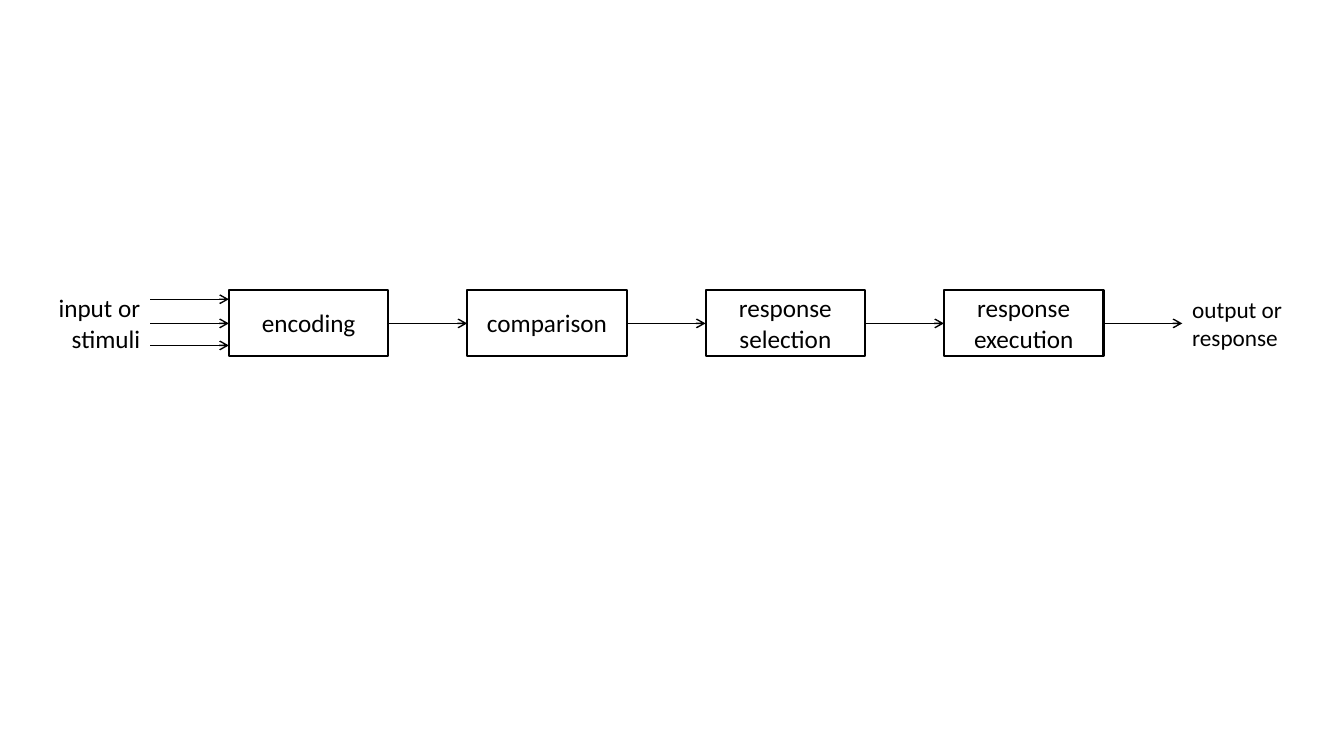
from dataclasses import dataclass

from lxml import etree
from pptx import Presentation
from pptx.dml.color import RGBColor
from pptx.enum.shapes import MSO_CONNECTOR, MSO_SHAPE
from pptx.enum.text import MSO_ANCHOR, PP_ALIGN
from pptx.oxml.ns import qn
from pptx.shapes.base import BaseShape
from pptx.slide import Slide
from pptx.util import Emu, Pt

RECT = MSO_SHAPE.RECTANGLE
STRAIGHT = MSO_CONNECTOR.STRAIGHT
MIDDLE = MSO_ANCHOR.MIDDLE
LEFT, CENTER, RIGHT = PP_ALIGN.LEFT, PP_ALIGN.CENTER, PP_ALIGN.RIGHT


@dataclass(frozen=True)
class Theme:
    ink: RGBColor = RGBColor(0, 0, 0)
    font: str = "Calibri"
    size: float = 18
    small: float = 16.6
    frame: float = 1.5
    arrow: float = 1


@dataclass(frozen=True)
class Stage:
    lines: tuple[str, ...]
    align: PP_ALIGN = CENTER
    size: float = Theme.size
    boxed: bool = True


THEME = Theme()

# Layout: equal columns, the first one starting just off the left edge
WIDE, HIGH = 1280, 720
START, STEP = -9, 227
BOX_W, BOX_H, TOP = 152, 63, 276
MID = 308
INPUTS = (285, MID, 329)

STAGES = (
    Stage(("input or", "stimuli"), align=RIGHT, boxed=False),
    Stage(("encoding",)),
    Stage(("comparison",)),
    Stage(("response", "selection")),
    Stage(("response", "execution")),
    Stage(("output or", "response"), LEFT, THEME.small, boxed=False),
)


def px(count: int) -> Emu:
    return Emu(count * 9525)


def write(shape: BaseShape, stage: Stage) -> None:
    frame = shape.text_frame
    frame.word_wrap = True
    frame.vertical_anchor = MIDDLE
    para = frame.paragraphs[0]
    para.alignment = stage.align
    para.font.name = THEME.font
    para.font.size = Pt(stage.size)
    para.font.color.rgb = THEME.ink
    for row, line in enumerate(stage.lines):
        if row:
            para.add_line_break()
        para.add_run().text = line


def add_stage(slide: Slide, stage: Stage, left: int) -> None:
    place = px(left), px(TOP), px(BOX_W), px(BOX_H)
    if stage.boxed:
        shape = slide.shapes.add_shape(RECT, *place)
        shape.shadow.inherit = False
        shape.fill.background()
        shape.line.color.rgb = THEME.ink
        shape.line.width = Pt(THEME.frame)
    else:
        shape = slide.shapes.add_textbox(*place)
    write(shape, stage)


def add_arrow(slide: Slide, left: int, right: int, y: int) -> None:
    arrow = slide.shapes.add_connector(STRAIGHT, px(left), px(y), px(right), px(y))
    arrow.line.color.rgb = THEME.ink
    arrow.line.width = Pt(THEME.arrow)
    props = arrow.element.spPr
    etree.SubElement(props.find(qn("a:ln")), qn("a:tailEnd"), type="arrow")
    etree.SubElement(props, qn("a:effectLst"))


def main() -> None:
    deck = Presentation()
    deck.slide_width, deck.slide_height = px(WIDE), px(HIGH)
    slide = deck.slides.add_slide(deck.slide_layouts[6])

    # Stages, with the input and output labels at the ends
    for col, stage in enumerate(STAGES):
        add_stage(slide, stage, START + col * STEP)

    # Arrows across the gaps; the first gap holds three inputs
    for col in range(len(STAGES) - 1):
        left = START + col * STEP + BOX_W
        right = START + (col + 1) * STEP
        for y in (MID,) if col else INPUTS:
            add_arrow(slide, left, right, y)

    deck.save("out.pptx")


if __name__ == "__main__":
    main()
